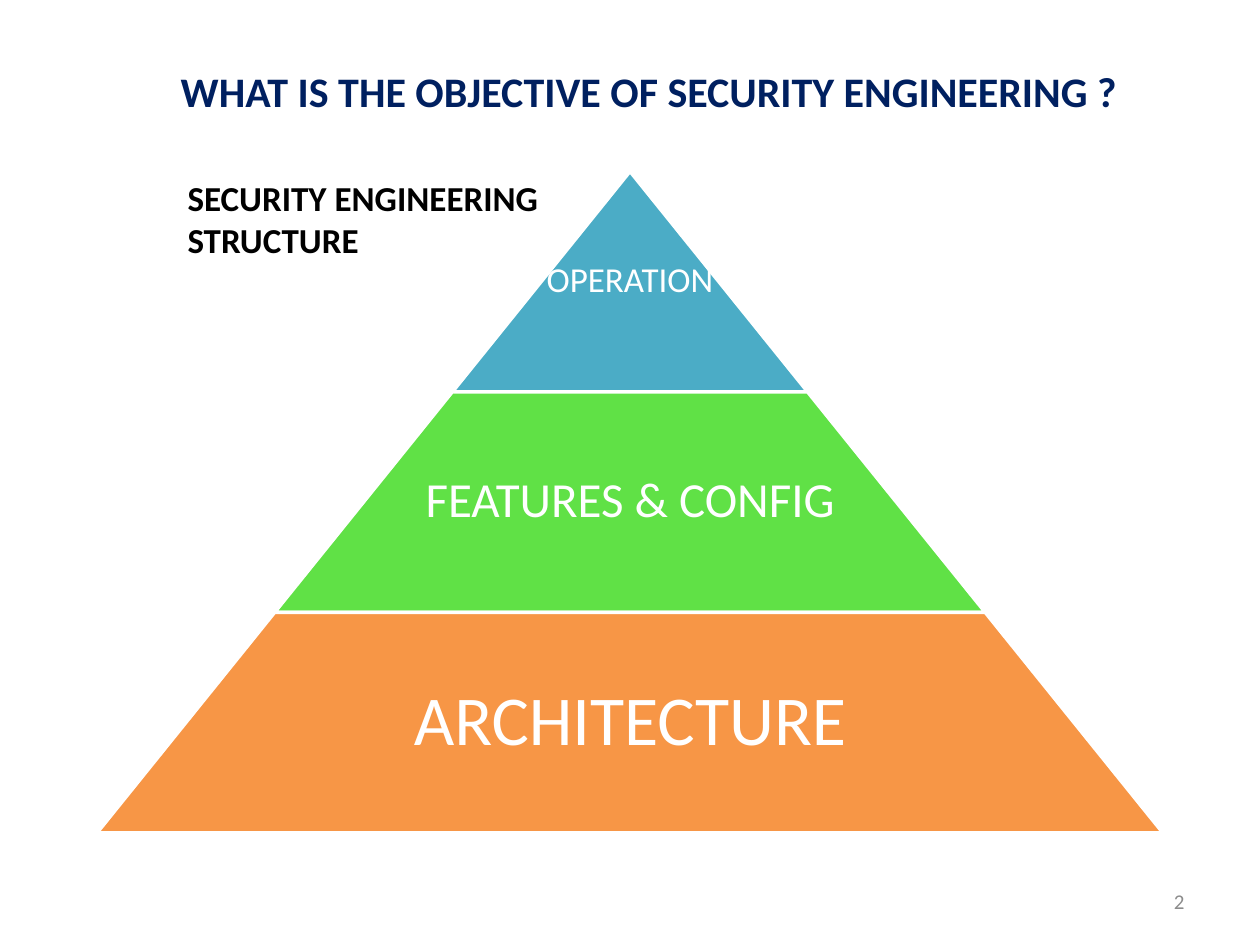
import pptx
import pptx.util
from pptx.dml.color import RGBColor
from pptx.enum.shapes import MSO_SHAPE
from pptx.enum.text import MSO_ANCHOR, PP_ALIGN
from pptx.util import Inches

TITLE = "WHAT IS THE OBJECTIVE OF SECURITY ENGINEERING ?"
CAPTION = ["SECURITY ENGINEERING", "STRUCTURE"]
PAGE_NUMBER = "2"
LAYERS = [
    ("OPERATION", "4BACC6", 20, 1, 0.03),
    ("FEATURES & CONFIG", "60E146", 28, 0.65, 0.04),
    ("ARCHITECTURE", "F79646", 40, 0.65, 0.06),
]
PYRAMID_CENTER, PYRAMID_TOP = 5, 1.36
LAYER_HEIGHT, WIDTH_STEP = 1.75, 2.82


def color(hex_string):
    return RGBColor.from_string(hex_string)


def add_text(slide, lines, left, top, width, height, size, fill="FFFFFF", bold=False,
             align=PP_ALIGN.CENTER, anchor=MSO_ANCHOR.MIDDLE, inset=None, spacing=None):
    box = slide.shapes.add_textbox(Inches(left), Inches(top), Inches(width), Inches(height))
    frame = box.text_frame
    frame.word_wrap = True
    frame.vertical_anchor = anchor
    if inset is not None:
        frame.margin_left = frame.margin_right = Inches(inset)
        frame.margin_top = frame.margin_bottom = Inches(inset)
    frame.text = "\n".join(lines)
    for paragraph in frame.paragraphs:
        paragraph.alignment = align
        paragraph.line_spacing = spacing
        for run in paragraph.runs:
            run.font.name = "Calibri"
            run.font.size = pptx.util.Pt(size)
            run.font.bold = bold
            run.font.color.rgb = color(fill)


def add_layer(slide, index, label, fill, size, text_share, inset):
    width = WIDTH_STEP * (index + 1)
    top = PYRAMID_TOP + LAYER_HEIGHT * index
    layer = slide.shapes.add_shape(
        MSO_SHAPE.TRAPEZOID, Inches(PYRAMID_CENTER - width / 2), Inches(top),
        Inches(width), Inches(LAYER_HEIGHT))
    layer.adjustments[0] = WIDTH_STEP / 2 / LAYER_HEIGHT
    layer.shadow.inherit = False
    layer.fill.solid()
    layer.fill.fore_color.rgb = color(fill)
    layer.line.color.rgb = color("FFFFFF")
    layer.line.width = pptx.util.Pt(2)
    text_width = width * text_share
    add_text(slide, [label], PYRAMID_CENTER - text_width / 2, top, text_width, LAYER_HEIGHT,
             size, inset=inset, spacing=0.9)


def main():
    deck = pptx.Presentation()
    deck.slide_width, deck.slide_height = Inches(10), Inches(7.5)
    slide = deck.slides.add_slide(deck.slide_layouts[6])
    add_text(slide, [PAGE_NUMBER], 7.17, 6.95, 2.33, 0.4, 12, fill="8C8C8C",
             align=PP_ALIGN.RIGHT)
    add_text(slide, [TITLE], 0.65, 0.23, 9, 0.98, 24, fill="002060", bold=True)
    for index, layer in enumerate(LAYERS):
        add_layer(slide, index, *layer)
    add_text(slide, CAPTION, 1.39, 1.35, 4.16, 0.77, 20, fill="000000", bold=True,
             align=PP_ALIGN.LEFT, anchor=MSO_ANCHOR.TOP)
    deck.save("out.pptx")


if __name__ == "__main__":
    main()
